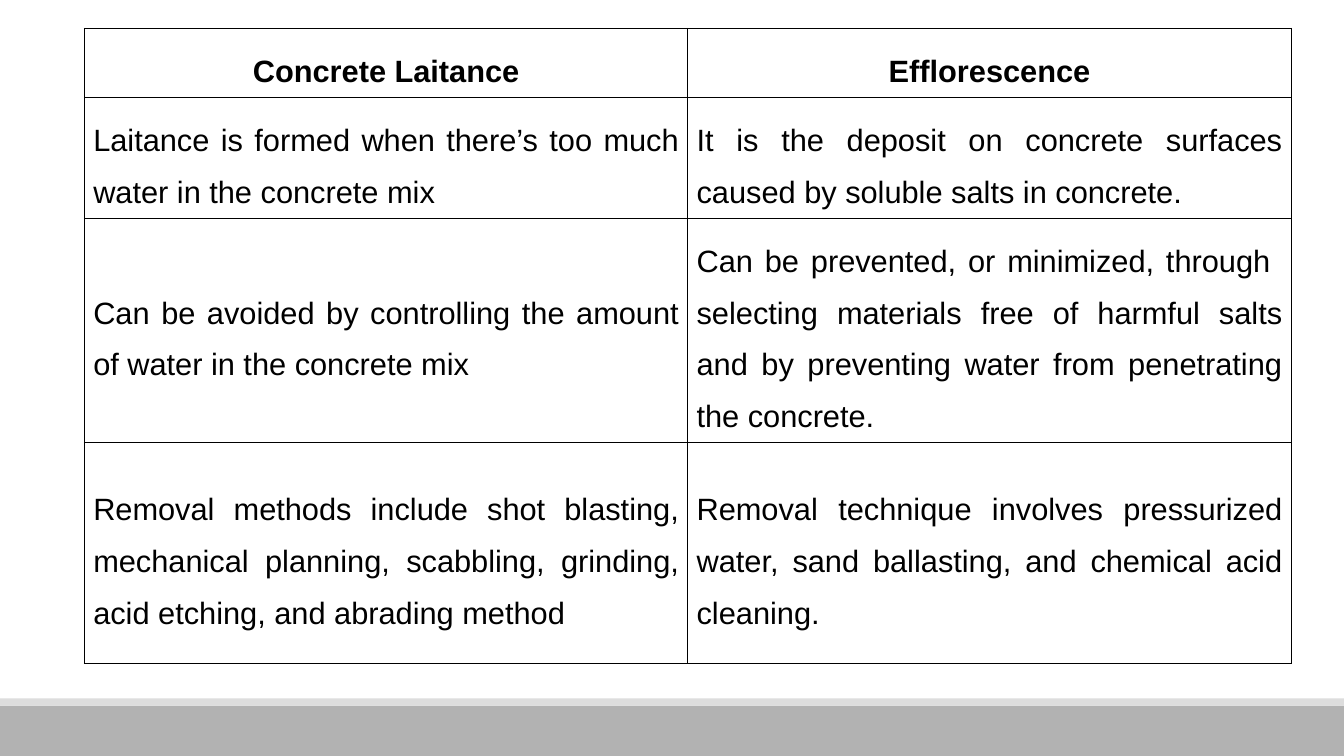
from dataclasses import dataclass

from lxml import etree
from pptx import Presentation
from pptx.dml.color import RGBColor
from pptx.enum.shapes import MSO_SHAPE
from pptx.enum.text import MSO_ANCHOR, PP_ALIGN
from pptx.oxml.ns import qn
from pptx.util import Cm, Pt

RECTANGLE = MSO_SHAPE.RECTANGLE
MIDDLE = MSO_ANCHOR.MIDDLE
CENTER = PP_ALIGN.CENTER
JUSTIFY = PP_ALIGN.JUSTIFY
BLANK_LAYOUT = 6


@dataclass(frozen=True)
class Theme:
    font: str = "Arial"
    text_size: int = 22
    line_spacing: float = 1.5
    border_width: int = 1
    ink: str = "000000"
    footer: str = "B2B2B2"
    footer_edge: str = "DDDDDD"


@dataclass(frozen=True)
class Box:
    left: float
    top: float
    width: float
    height: float


THEME = Theme()
PAGE = Box(0, 0, 33.86, 19.05)
FOOTER = Box(0, 17.6, PAGE.width, 1.45)
COMPARISON = Box(2.13, 0.72, 30.4, 15.77)
FOOTER_EDGE_HEIGHT = 0.18
CELL_INSET = 0.22
ROW_HEIGHTS = (1.68, 2.97, 5.56, 5.56)
ROWS = (
    ("Concrete Laitance", "Efflorescence"),
    (
        "Laitance is formed when there’s too much water in the concrete mix",
        "It is the deposit on concrete surfaces caused by soluble salts in concrete.",
    ),
    (
        "Can be avoided by controlling the amount of water in the concrete mix",
        "Can be prevented, or minimized, through  selecting materials free of harmful salts "
        "and by preventing water from penetrating the concrete.",
    ),
    (
        "Removal methods include shot blasting, mechanical planning, scabbling, grinding, "
        "acid etching, and abrading method",
        "Removal technique involves pressurized water, sand ballasting, "
        "and chemical acid cleaning.",
    ),
)


def write_text(frame, text, *, align, bold):
    para = frame.paragraphs[0]
    para.alignment = align
    para.line_spacing = THEME.line_spacing
    span = para.add_run()
    span.text = text
    span.font.name = THEME.font
    span.font.size = Pt(THEME.text_size)
    span.font.bold = bold
    span.font.color.rgb = RGBColor.from_string(THEME.ink)


def add_borders(cell):
    properties = cell._tc.get_or_add_tcPr()
    for position, side in enumerate(("a:lnL", "a:lnR", "a:lnT", "a:lnB")):
        line = etree.Element(qn(side), w=str(Pt(THEME.border_width)))
        fill = etree.SubElement(line, qn("a:solidFill"))
        etree.SubElement(fill, qn("a:srgbClr"), val=THEME.ink)
        properties.insert(position, line)


def add_band(page, box, color):
    band = page.shapes.add_shape(
        RECTANGLE, Cm(box.left), Cm(box.top), Cm(box.width), Cm(box.height)
    )
    band.shadow.inherit = False
    band.fill.solid()
    band.fill.fore_color.rgb = RGBColor.from_string(color)
    band.line.fill.background()


def add_footer(page, box):
    edge = FOOTER_EDGE_HEIGHT
    add_band(page, Box(box.left, box.top + edge, box.width, box.height - edge), THEME.footer)
    add_band(page, Box(box.left, box.top, box.width, edge), THEME.footer_edge)


def add_comparison(page, box):
    column_count = len(ROWS[0])
    table = page.shapes.add_table(
        len(ROWS), column_count, Cm(box.left), Cm(box.top), Cm(box.width), Cm(box.height)
    ).table
    table.horz_banding = False
    for column in table.columns:
        column.width = Cm(box.width / column_count)
    for row_index, (height, texts) in enumerate(zip(ROW_HEIGHTS, ROWS)):
        table.rows[row_index].height = Cm(height)
        is_header = row_index == 0
        for cell, text in zip(table.rows[row_index].cells, texts):
            cell.vertical_anchor = MIDDLE
            cell.margin_left = cell.margin_right = Cm(CELL_INSET)
            cell.margin_top = cell.margin_bottom = Cm(CELL_INSET)
            cell.fill.background()
            add_borders(cell)
            write_text(
                cell.text_frame, text, align=CENTER if is_header else JUSTIFY, bold=is_header
            )


def main():
    deck = Presentation()
    deck.slide_width = Cm(PAGE.width)
    deck.slide_height = Cm(PAGE.height)
    page = deck.slides.add_slide(deck.slide_layouts[BLANK_LAYOUT])
    add_footer(page, FOOTER)
    add_comparison(page, COMPARISON)
    deck.save("out.pptx")


if __name__ == "__main__":
    main()
